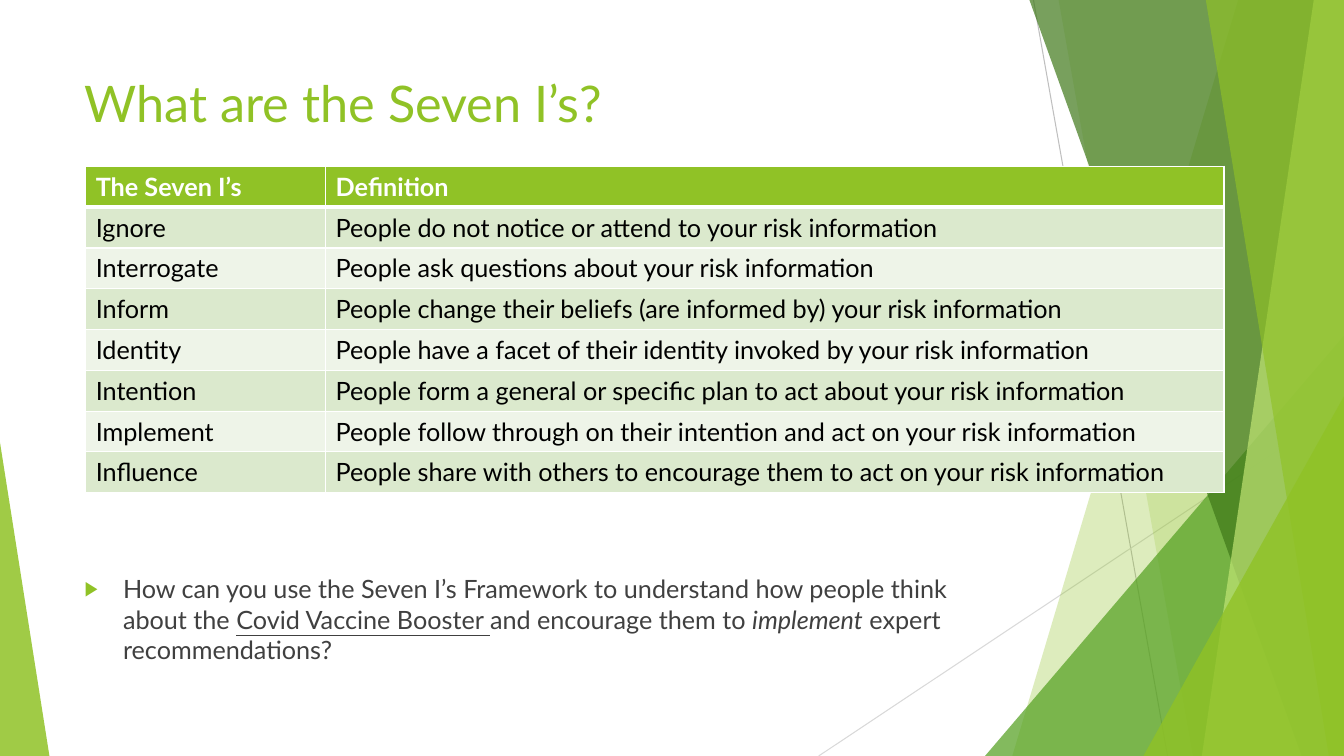
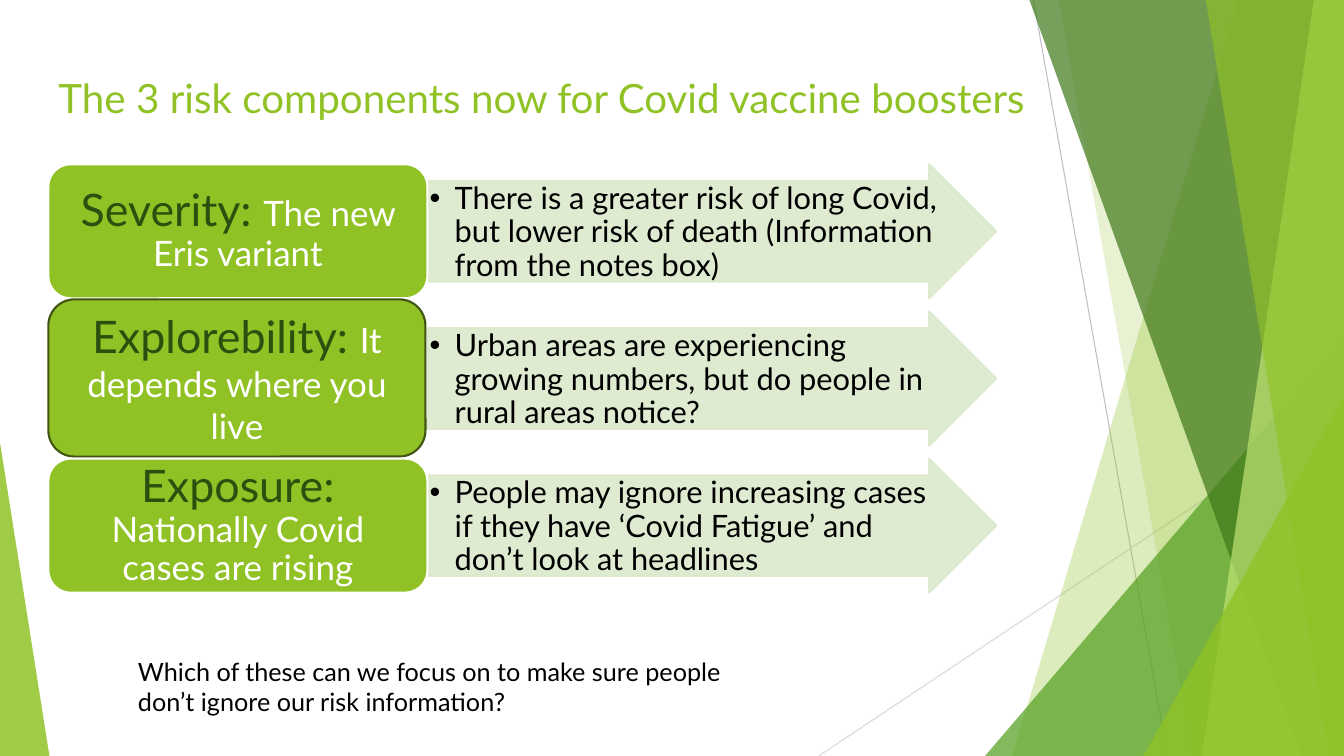
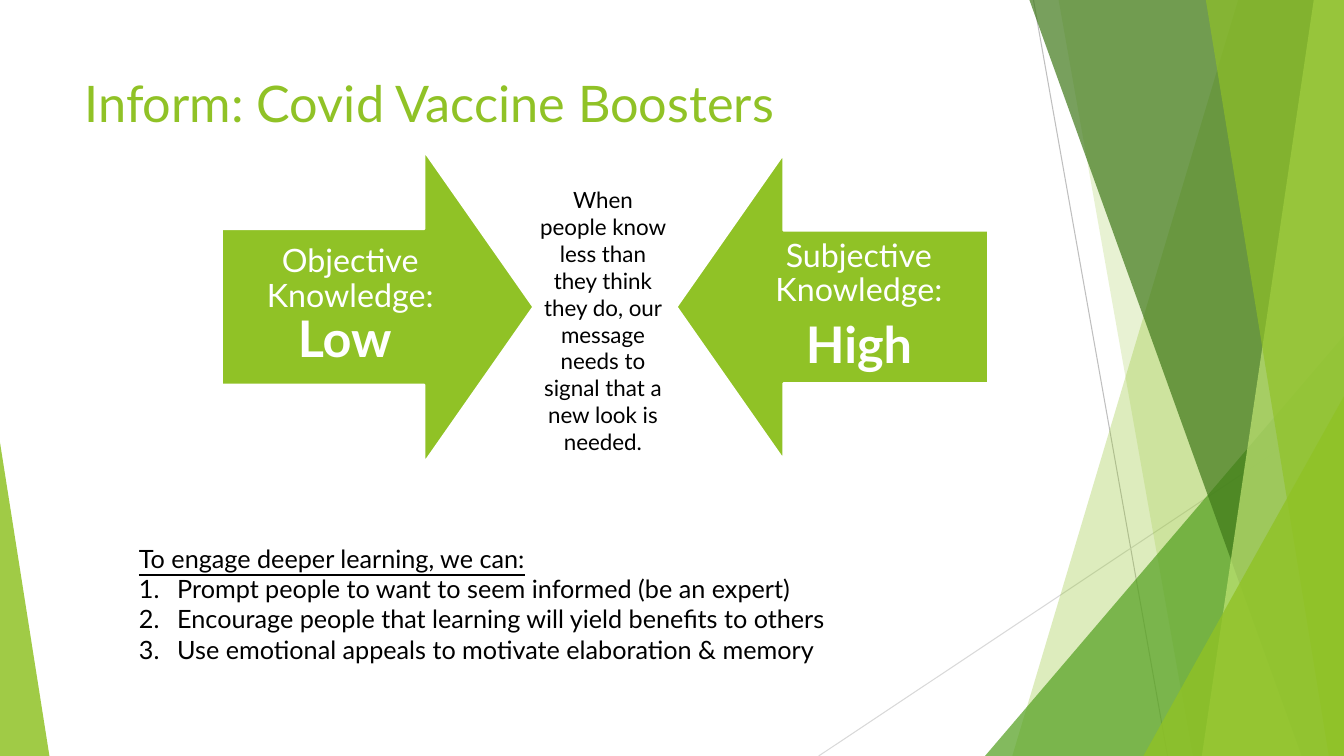
from lxml import etree
from pptx import Presentation
from pptx import util as u
from pptx.dml.color import RGBColor
from pptx.enum import shapes, text
from pptx.oxml.ns import qn

FONT = "Lato"
GREEN, MID, DARK, LIME = "90C226", "54A021", "3F7819", "C0E474"
PALE, PALER, INK, GREY = "DBE9CD", "EEF4E8", "2A5010", "404040"
WHITE, BLACK = "FFFFFF", "000000"
W, H = 13.33, 7.5
KIND = shapes.MSO_SHAPE
CENTER = text.PP_ALIGN.CENTER
MIDDLE = text.MSO_ANCHOR.MIDDLE

THREADS = [((10.25, 0), (11.58, H), "BFBFBF"), ((W, 4.03), (8.12, H), "D9D9D9")]
PANELS = [
    ("band", (12.28, 10.04), GREEN, 30),
    ("band", (10.5, 11.83), GREEN, 20),
    ("triangle", (9.77, 3.33, 3.56, 4.17, 1), MID, 72),
    ("band", (10.21, 12.91), DARK, 70),
    ("band", (13.03, 11.92), LIME, 70),
    ("band", (11.96, 13.18), GREEN, 65),
    ("triangle", (11.34, 3.93, 1.99, 3.57, 1), GREEN, 80),
    ("triangle", (0, 4.39, 0.49, 3.11, 0), GREEN, 85),
]
SEVEN_IS = [
    ("The Seven I’s", "Definition"),
    ("Ignore", "People do not notice or attend to your risk information"),
    ("Interrogate", "People ask questions about your risk information"),
    ("Inform", "People change their beliefs (are informed by) your risk information"),
    ("Identity", "People have a facet of their identity invoked by your risk information"),
    ("Intention", "People form a general or specific plan to act about your risk information"),
    ("Implement", "People follow through on their intention and act on your risk information"),
    ("Influence", "People share with others to encourage them to act on your risk information"),
]
RISKS = [
    ("Severity: ", "The new Eris variant",
     "There is a greater risk of long Covid, but lower risk of death "
     "(Information from the notes box)"),
    ("Explorebility: ", "It depends where you live",
     "Urban areas are experiencing growing numbers, but do people in rural areas notice?"),
    ("Exposure: ", "Nationally Covid cases are rising",
     "People may ignore increasing cases if they have ‘Covid Fatigue’ "
     "and don’t look at headlines"),
]


def rgb(value):
    """Return the colour for a hex string."""
    return RGBColor.from_string(value)


def inches(*values):
    """Return the values as a list of lengths."""
    return [u.Inches(v) for v in values]


def paint(sp, fill, alpha=100, line=None):
    """Set the fill, outline and opacity of a shape."""
    sp.shadow.inherit = False
    sp.fill.solid()
    sp.fill.fore_color.rgb = rgb(fill)
    if line:
        sp.line.color.rgb = rgb(line)
        sp.line.width = u.Pt(1.5)
    else:
        sp.line.fill.background()
    if alpha < 100:
        for color in sp.element.spPr.iter(qn("a:srgbClr")):
            etree.SubElement(color, qn("a:alpha"), val=str(alpha * 1000))


def add_bullet(p, mark, indent, color=None, percent=None):
    """Give a paragraph a bullet character, or a number when mark is '1.'."""
    pPr = p._p.get_or_add_pPr()
    pPr.set("marL", str(u.Inches(indent)))
    pPr.set("indent", str(-u.Inches(indent)))
    if color:
        holder = etree.SubElement(pPr, qn("a:buClr"))
        etree.SubElement(holder, qn("a:srgbClr"), val=color)
    if percent:
        etree.SubElement(pPr, qn("a:buSzPct"), val=str(percent * 1000))
    if mark == "1.":
        etree.SubElement(pPr, qn("a:buFont"), typeface="+mj-lt")
        etree.SubElement(pPr, qn("a:buAutoNum"), type="arabicPeriod")
    else:
        etree.SubElement(pPr, qn("a:buFont"), typeface="Arial")
        etree.SubElement(pPr, qn("a:buChar"), char=mark)


def write(p, content, size=18, color=BLACK, align=text.PP_ALIGN.LEFT,
          spacing=1.0, before=0, bullet=None, **style):
    """Fill a paragraph with a string or a list of (text, format) runs."""
    if bullet:
        add_bullet(p, *bullet)
    p.alignment, p.line_spacing, p.space_before = align, spacing, u.Pt(before)
    runs = [(content, {})] if isinstance(content, str) else content
    for words, change in runs:
        fmt = {"size": size, "color": color, **style, **change}
        r = p.add_run()
        r.text = words
        r.font.name = FONT
        r.font.size = u.Pt(fmt["size"])
        r.font.color.rgb = rgb(fmt["color"])
        r.font.bold = fmt.get("bold", False)
        r.font.italic = fmt.get("italic", False)
        r.font.underline = fmt.get("underline", False)


def set_frame(tf, anchor=text.MSO_ANCHOR.TOP, insets=(0.1, 0.05), wrap=True):
    """Set anchor, insets and wrapping, and return the first paragraph."""
    tf.word_wrap, tf.auto_size = wrap, text.MSO_AUTO_SIZE.NONE
    tf.vertical_anchor = anchor
    tf.margin_left = tf.margin_right = u.Inches(insets[0])
    tf.margin_top = tf.margin_bottom = u.Inches(insets[1])
    return tf.paragraphs[0]


def place(sp, box):
    """Move a placeholder to a box and return its first paragraph."""
    sp.left, sp.top, sp.width, sp.height = inches(*box)
    return set_frame(sp.text_frame)


def add_text(slide, box, wrap=True):
    """Add a text box and return its text frame."""
    tf = slide.shapes.add_textbox(*inches(*box)).text_frame
    set_frame(tf, wrap=wrap)
    return tf


def add_block(slide, kind, box, fill, line, adjust=(), alpha=100, **frame):
    """Add a filled shape and return its text frame."""
    sp = slide.shapes.add_shape(kind, *inches(*box))
    for i, value in enumerate(adjust):
        sp.adjustments[i] = value
    paint(sp, fill, alpha, line)
    set_frame(sp.text_frame, **frame)
    return sp.text_frame


def new_slide(prs, layout, title, box=(0.74, 0.67, 9.4, 1.44), size=36):
    """Add a slide with a formatted title."""
    slide = prs.slides.add_slide(prs.slide_layouts[layout])
    write(place(slide.shapes.title, box), title, size=size, color=GREEN)
    return slide


def decorate_master(prs, slide):
    """Draw the shared facets and move them to the slide master."""
    group = slide.shapes.add_group_shape()
    for start, end, color in THREADS:
        line = group.shapes.add_connector(
            shapes.MSO_CONNECTOR.STRAIGHT, *inches(*start, *end))
        line.line.color.rgb = rgb(color)
        line.line.width = u.Pt(0.75)
        etree.SubElement(line.element.spPr, qn("a:effectLst"))
    for kind, points, color, alpha in PANELS:
        if kind == "band":
            top, bottom = points
            outline = group.shapes.build_freeform(*inches(top, 0))
            corners = [(W, 0), (W, H), (bottom, H)]
            outline.add_line_segments([inches(*c) for c in corners])
            sp = outline.convert_to_shape()
        else:
            sp = group.shapes.add_shape(KIND.ISOSCELES_TRIANGLE, *inches(*points[:4]))
            sp.adjustments[0] = points[4]
        paint(sp, color, alpha)
    for number, props in enumerate(group.element.iter(qn("p:cNvPr")), 100):
        props.set("id", str(number))
    prs.slide_master.placeholders[0].element.addprevious(group.element)


def set_borders(cell, bottom):
    """Give a table cell white borders with the stated bottom width."""
    tcPr = cell._tc.get_or_add_tcPr()
    for i, (side, width) in enumerate(zip("LRTB", (1, 1, 1, bottom))):
        ln = etree.Element(qn("a:ln" + side), w=str(u.Pt(width)))
        fill = etree.SubElement(ln, qn("a:solidFill"))
        etree.SubElement(fill, qn("a:srgbClr"), val=WHITE)
        tcPr.insert(i, ln)


def add_definitions(slide, rows):
    """Add the banded table of terms and definitions."""
    frame = slide.shapes.add_table(len(rows), 2, *inches(0.85, 1.65, 11.29, 3.24))
    table = frame.table
    table.columns[0].width, table.columns[1].width = inches(2.38, 8.91)
    for i, row in enumerate(rows):
        header = i == 0
        fill = GREEN if header else (PALER, PALE)[i % 2]
        for j, words in enumerate(row):
            cell = table.cell(i, j)
            cell.fill.solid()
            cell.fill.fore_color.rgb = rgb(fill)
            set_borders(cell, 3 if header else 1)
            write(cell.text_frame.paragraphs[0], words, bold=header,
                  color=WHITE if header else BLACK)


def seven_is_slide(prs):
    """Build the definitions slide."""
    slide = new_slide(prs, 1, "What are the Seven I’s?")
    question = [
        ("How can you use the Seven I’s Framework to understand how people think about the ", {}),
        ("Covid Vaccine Booster ", {"underline": True}),
        ("and encourage them to ", {}),
        ("implement", {"italic": True}),
        (" expert recommendations?", {}),
    ]
    p = place(slide.placeholders[1], (0.74, 5.64, 9.4, 0.97))
    write(p, question, color=GREY, bullet=("▶", 0.38, GREEN, 80))
    add_definitions(slide, SEVEN_IS)
    return slide


def risk_slide(prs):
    """Build the slide of three risk components."""
    slide = new_slide(prs, 5, "The 3 risk components now for Covid vaccine boosters",
                      (0.48, 0.68, 10.56, 1.16), 28.8)
    for i, (name, summary, detail) in enumerate(RISKS):
        top = 1.63 + 1.46 * i
        tf = add_block(slide, KIND.RIGHT_ARROW, (4.24, top, 5.64, 1.33), PALE, PALE,
                       (0.75, 0.5), 90, insets=(0.02, 0.02))
        write(tf.paragraphs[0], detail, size=22, spacing=0.9, bullet=("•", 0.25))
        if i == 1:
            box, line, insets, spacing = (0.48, 2.97, 3.74, 1.56), "3F5511", (0.1, 0.05), 1.0
        else:
            box, line, insets, spacing = (0.48, top, 3.76, 1.33), WHITE, (0.13, 0.07), 0.9
        tf = add_block(slide, KIND.ROUNDED_RECTANGLE, box, GREEN, line,
                       anchor=MIDDLE, insets=insets)
        write(tf.paragraphs[0], [(name, {"size": 32, "color": INK}), (summary, {})],
              size=25, color=WHITE, align=CENTER, spacing=spacing)
    tf = add_text(slide, (1.27, 6.46, 6.41, 0.71))
    write(tf.paragraphs[0], "Which of these can we focus on to make sure people "
          "don’t ignore our risk information?")


def inform_slide(prs):
    """Build the slide of objective and subjective knowledge."""
    slide = new_slide(prs, 5, "Inform: Covid Vaccine Boosters")
    big = {"size": 36, "bold": True}
    label = {"size": 23, "color": WHITE, "align": CENTER, "spacing": 0.9}
    arrow = {"fill": GREEN, "line": WHITE, "adjust": (0.5, 0.35),
             "anchor": MIDDLE, "insets": (0.18, 0.18)}
    tf = add_block(slide, KIND.RIGHT_ARROW, (2.2, 1.5, 3.09, 3.09), **arrow)
    write(tf.paragraphs[0], [("Objective Knowledge: ", {}), ("Low ", big)], **label)
    tf = add_block(slide, KIND.LEFT_ARROW, (6.71, 1.53, 3.09, 3.03), **arrow)
    write(tf.paragraphs[0], "Subjective Knowledge:", **label)
    write(tf.add_paragraph(), [("High", big)], before=8, **label)
    tf = add_text(slide, (5.24, 1.8, 1.48, 2.79))
    write(tf.paragraphs[0], "When people know less than they think they do, our message "
          "needs to signal that a new look is needed.", size=16, align=CENTER)
    tf = add_text(slide, (1.28, 5.34, 7.33, 1.92), wrap=False)
    write(tf.paragraphs[0], "To engage deeper learning, we can:", underline=True)
    for step in ("Prompt people to want to seem informed (be an expert)",
                 "Encourage people that learning will yield benefits to others",
                 "Use emotional appeals to motivate elaboration & memory"):
        write(tf.add_paragraph(), step, bullet=("1.", 0.38))


def main():
    """Build and save the presentation."""
    prs = Presentation()
    prs.slide_width, prs.slide_height = inches(W, H)
    first = seven_is_slide(prs)
    decorate_master(prs, first)
    risk_slide(prs)
    inform_slide(prs)
    prs.save("out.pptx")


if __name__ == "__main__":
    main()
